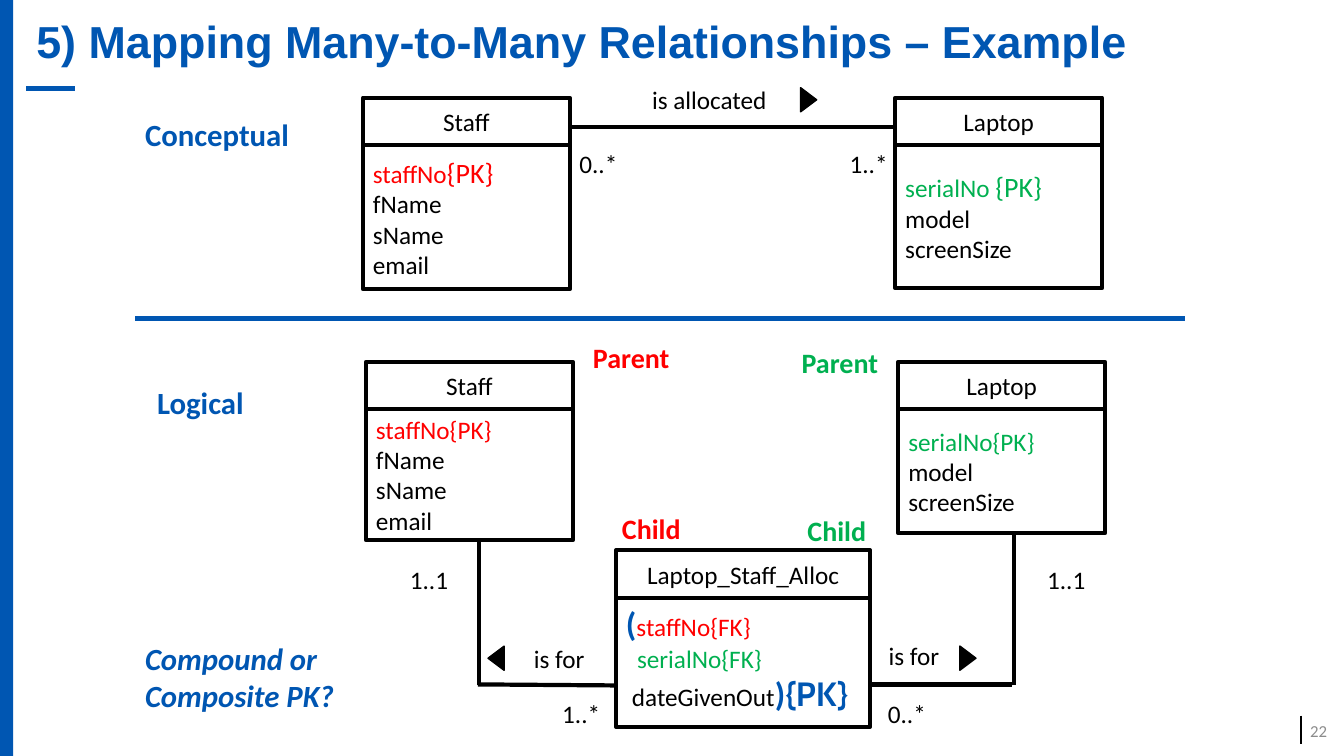
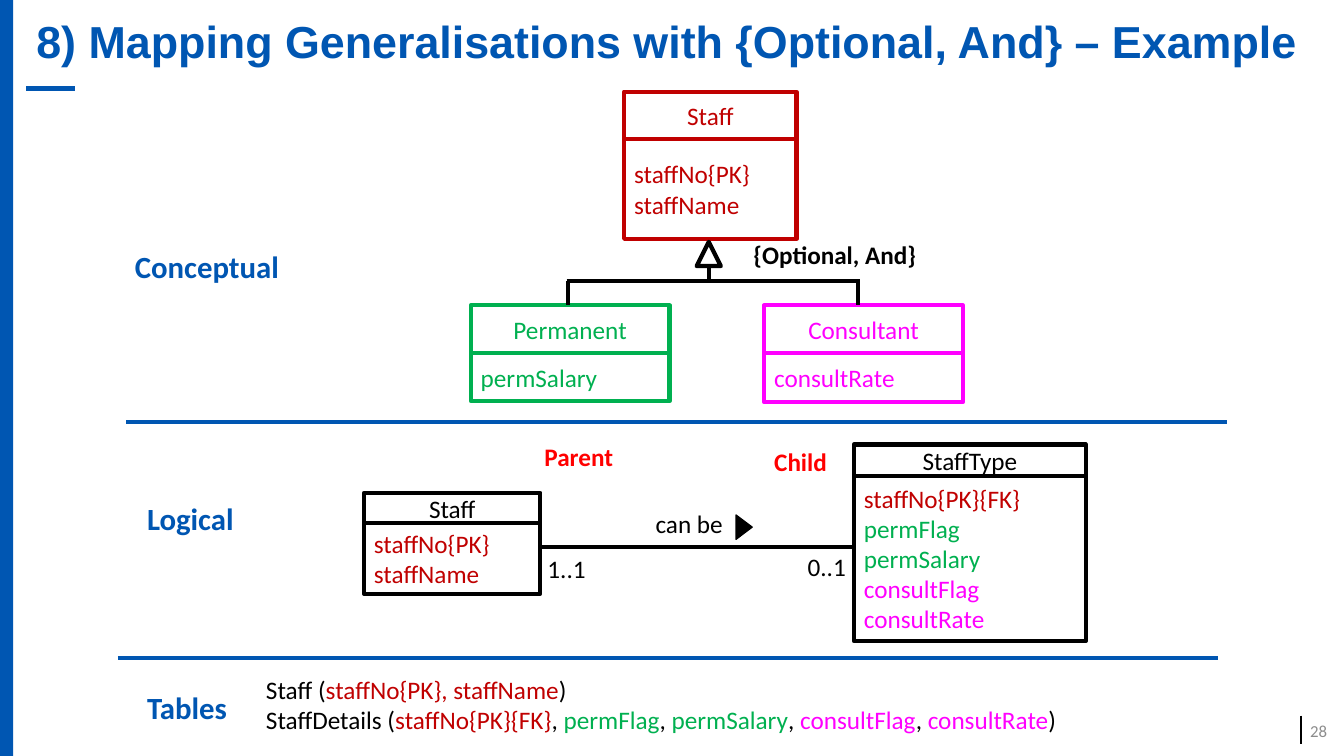
from dataclasses import dataclass

from lxml.etree import SubElement
from pptx import Presentation
from pptx.dml.color import RGBColor
from pptx.enum.shapes import MSO_CONNECTOR as Connector, MSO_SHAPE as Shape
from pptx.enum.text import MSO_ANCHOR as Anchor, MSO_AUTO_SIZE as AutoSize, PP_ALIGN as Align
from pptx.oxml.ns import qn
from pptx.util import Inches, Pt

COLOURS = {
    "blue": "0056B2",
    "black": "000000",
    "red": "FF0000",
    "dark red": "C00000",
    "green": "00B050",
    "magenta": "FF00FF",
    "grey": "8C8C8C",
}
TITLE_ONLY = 5
HEADER = 0.47


@dataclass
class Piece:
    """A stretch of text in one style."""
    text: str
    colour: str = "black"
    size: int = 18
    bold: bool = False
    italic: bool = False
    font: str = "Calibri"


def rgb(name):
    return RGBColor.from_string(COLOURS[name])


# Text
def write(frame, paragraphs, align=Align.LEFT, anchor=Anchor.TOP, indents=()):
    """Fill a frame; each paragraph is a list of pieces."""
    frame.word_wrap = True
    frame.auto_size = AutoSize.NONE
    frame.vertical_anchor = anchor
    for index, pieces in enumerate(paragraphs):
        paragraph = frame.paragraphs[0] if index == 0 else frame.add_paragraph()
        paragraph.text = pieces[0].text
        for piece in pieces[1:]:
            paragraph.add_run().text = piece.text
        paragraph.alignment = align
        if indents:
            paragraph._p.get_or_add_pPr().set("marL", str(Inches(indents[index])))
        for run, piece in zip(paragraph.runs, pieces):
            font = run.font
            font.name, font.size = piece.font, Pt(piece.size)
            font.bold, font.italic = piece.bold, piece.italic
            font.color.rgb = rgb(piece.colour)


def label(slide, piece, left, top, width, height=0.4, align=Align.CENTER,
          anchor=Anchor.TOP):
    box = slide.shapes.add_textbox(*map(Inches, (left, top, width, height)))
    write(box.text_frame, [[piece]], align, anchor)


def section(slide, text, left, top, width=2.11, height=0.47, italic=False):
    heading = Piece(text, "blue", 22, bold=True, italic=italic)
    label(slide, heading, left, top, width, height, Align.LEFT)


def rows(*lines):
    """One plain paragraph for each (text, colour) pair."""
    return [[Piece(text, colour)] for text, colour in lines]


# Shapes and lines
def shape(slide, kind, left, top, width, height, fill=None, line=None, weight=3):
    item = slide.shapes.add_shape(kind, *map(Inches, (left, top, width, height)))
    item.shadow.inherit = False
    if fill:
        item.fill.solid()
        item.fill.fore_color.rgb = rgb(fill)
    else:
        item.fill.background()
    if line:
        item.line.color.rgb = rgb(line)
        item.line.width = Pt(weight)
    else:
        item.line.fill.background()
    return item


def line(slide, x1, y1, x2, y2, colour="black", weight=3):
    link = slide.shapes.add_connector(
        Connector.STRAIGHT, *map(Inches, (x1, y1, x2, y2)))
    link.line.color.rgb = rgb(colour)
    link.line.width = Pt(weight)
    SubElement(link._element.spPr, qn("a:effectLst"))


def direction(slide, left, top, rotation=90):
    """Small solid triangle showing how a relationship is read."""
    marker = shape(slide, Shape.ISOSCELES_TRIANGLE, left, top, 0.24, 0.16,
                   "black", "black", 1)
    marker.rotation = rotation


def entity(slide, name, attributes, left, top, width, body, header=HEADER,
           colour="black", anchor=Anchor.MIDDLE, indents=()):
    """Class box: a name compartment above an attribute compartment."""
    name_box = shape(slide, Shape.RECTANGLE, left, top, width, header, line=colour)
    write(name_box.text_frame, [[Piece(name, colour)]], Align.CENTER, Anchor.MIDDLE)
    attribute_box = shape(slide, Shape.RECTANGLE, left, top + header, width, body,
                          line=colour)
    write(attribute_box.text_frame, attributes, anchor=anchor, indents=indents)


# Frame shared by the slides
def start_slide(deck, title, number):
    slide = deck.slides.add_slide(deck.slide_layouts[TITLE_ONLY])
    shape(slide, Shape.RECTANGLE, 0, 0, 0.13, 7.5, fill="blue")
    line(slide, 12.9, 7.1, 12.9, 7.38, weight=1.5)
    line(slide, 0.74, 0.88, 0.26, 0.88, "blue", 4)
    heading = slide.shapes.title
    heading.left, heading.top = Inches(0.26), Inches(0)
    heading.width, heading.height = Inches(12.94), Inches(0.88)
    write(heading.text_frame, [[Piece(title, "blue", 32, True, font="Arial")]],
          anchor=Anchor.MIDDLE)
    heading.text_frame.paragraphs[0].line_spacing = 0.9
    label(slide, Piece(number, "grey", 12), 12.84, 7.05, 0.42,
          align=Align.RIGHT, anchor=Anchor.MIDDLE)
    return slide


def many_to_many(deck):
    slide = start_slide(deck, "5) Mapping Many-to-Many Relationships – Example", "22")
    section(slide, "Conceptual", 1.34, 1.1)
    section(slide, "Logical", 1.46, 3.76)
    section(slide, "Compound or Composite PK?", 1.34, 6.3, 2.51, 0.84, italic=True)
    line(slide, 1.34, 3.16, 11.75, 3.16, "blue")

    # Relationship lines
    for ends in ((5.66, 1.26, 8.89, 1.26),
                 (4.74, 6.79, 6.11, 6.8), (4.75, 6.8, 4.75, 5.36),
                 (8.63, 6.79, 10.04, 6.79), (10.06, 6.8, 10.06, 5.27)):
        line(slide, *ends)

    # Entities
    staff_rest = rows(("fName", "black"), ("sName", "black"), ("email", "black"))
    laptop_rest = rows(("model", "black"), ("screenSize", "black"))
    staff_key = [Piece("staffNo", "red"), Piece("{PK}", "red", 20)]
    laptop_key = [Piece("serialNo ", "green"), Piece("{PK}", "green", 20)]
    entity(slide, "Staff", [staff_key] + staff_rest, 3.6, 0.97, 2.05, 1.43)
    entity(slide, "Laptop", [laptop_key] + laptop_rest, 8.88, 0.97, 2.05, 1.42)
    entity(slide, "Staff", rows(("staffNo{PK}", "red")) + staff_rest,
           3.63, 3.59, 2.05, 1.3)
    entity(slide, "Laptop", rows(("serialNo{PK}", "green")) + laptop_rest,
           8.91, 3.59, 2.05, 1.23)
    allocation = [
        [Piece("(", "blue", 24, True), Piece("staffNo{FK}", "red")],
        [Piece("serialNo{FK}", "green")],
        [Piece("dateGivenOut"), Piece(")", "blue", 24, True),
         Piece("{PK}", "blue", 24, True, font="Cabin")],
    ]
    entity(slide, "Laptop_Staff_Alloc", allocation, 6.11, 5.46, 2.52, 1.28,
           anchor=Anchor.TOP, indents=(0, 0.11, 0.06))

    # Multiplicities
    for text, left, top in (("0..*", 5.5, 1.42), ("1..*", 8.18, 1.42),
                            ("1..1", 3.82, 5.55), ("1..1", 10.14, 5.55),
                            ("1..*", 5.33, 6.88), ("0..*", 8.56, 6.88)):
        label(slide, Piece(text), left, top, 0.87)

    # Relationship names and reading directions
    for text, left, top, width in (("is allocated", 6.05, 0.79, 1.97),
                                   ("is for", 4.84, 6.33, 1.41),
                                   ("is for", 8.36, 6.3, 1.41)):
        label(slide, Piece(text), left, top, width, anchor=Anchor.MIDDLE)
    direction(slide, 7.9, 0.91)
    direction(slide, 4.8, 6.45, 270)
    direction(slide, 9.48, 6.45)

    # Roles
    for text, colour, left, top in (("Parent", "red", 5.32, 3.33),
                                    ("Parent", "green", 7.39, 3.38),
                                    ("Child", "red", 5.52, 5.03),
                                    ("Child", "green", 7.36, 5.05)):
        label(slide, Piece(text, colour, 20, True), left, top, 1.88, 0.44)


def generalisation(deck):
    slide = start_slide(
        deck, "8) Mapping Generalisations with {Optional, And} – Example", "28")
    section(slide, "Conceptual", 1.24, 2.41, 1.88)
    section(slide, "Logical", 1.36, 4.91, 1.88)
    section(slide, "Tables", 1.36, 6.78, 1.88)
    line(slide, 1.25, 4.19, 12.17, 4.19, "blue")
    line(slide, 1.17, 6.53, 12.08, 6.53, "blue")

    # Conceptual: superclass, subclasses and the tree between them
    staff_rows = rows(("staffNo{PK}", "dark red"), ("staffName", "dark red"))
    entity(slide, "Staff", staff_rows, 6.19, 0.91, 1.71, 0.99, colour="dark red")
    entity(slide, "Permanent", rows(("permSalary", "green")),
           4.67, 3.03, 1.97, 0.48, colour="green")
    entity(slide, "Consultant", rows(("consultRate", "magenta")),
           7.58, 3.03, 1.97, 0.49, colour="magenta")
    shape(slide, Shape.ISOSCELES_TRIANGLE, 6.91, 2.4, 0.24, 0.24, line="black")
    for ends in ((5.62, 2.79, 8.53, 2.79), (5.63, 2.79, 5.63, 3.03),
                 (8.51, 2.79, 8.51, 3.03), (7.03, 2.64, 7.03, 2.79)):
        line(slide, *ends)
    label(slide, Piece("{Optional, And}", bold=True), 7.05, 2.33, 2.46)

    # Logical: parent and child relations
    entity(slide, "Staff", staff_rows, 3.61, 4.89, 1.75, 0.7, header=0.3)
    type_rows = rows(("staffNo{PK}{FK}", "dark red"),
                     ("permFlag", "green"), ("permSalary", "green"),
                     ("consultFlag", "magenta"), ("consultRate", "magenta"))
    entity(slide, "StaffType", type_rows, 8.47, 4.41, 2.3, 1.64, header=0.31)
    line(slide, 5.35, 5.43, 8.47, 5.43)
    label(slide, Piece("1..1"), 5.19, 5.44, 0.86)
    label(slide, Piece("0..1"), 7.77, 5.42, 0.86)
    label(slide, Piece("can be"), 6.13, 4.99, 1.41, anchor=Anchor.MIDDLE)
    direction(slide, 7.26, 5.15)
    label(slide, Piece("Parent", "red", bold=True), 5.23, 4.33, 1.02)
    label(slide, Piece("Child", "red", bold=True), 7.43, 4.38, 1.02)

    # Tables: the columns of StaffDetails are those of StaffType
    details = [Piece("StaffDetails (")]
    for (column,) in type_rows:
        details += [column, Piece(", ")]
    details[-1] = Piece(")")
    staff = [Piece("Staff ("), Piece("staffNo{PK}, staffName", "dark red"), Piece(")")]
    schema = slide.shapes.add_textbox(*map(Inches, (2.04, 6.64, 9.5, 0.71)))
    write(schema.text_frame, [staff, details], indents=(0.5, 0.5))


def main():
    deck = Presentation()
    deck.slide_width, deck.slide_height = Inches(13.33), Inches(7.5)
    many_to_many(deck)
    generalisation(deck)
    deck.save("out.pptx")


main()
